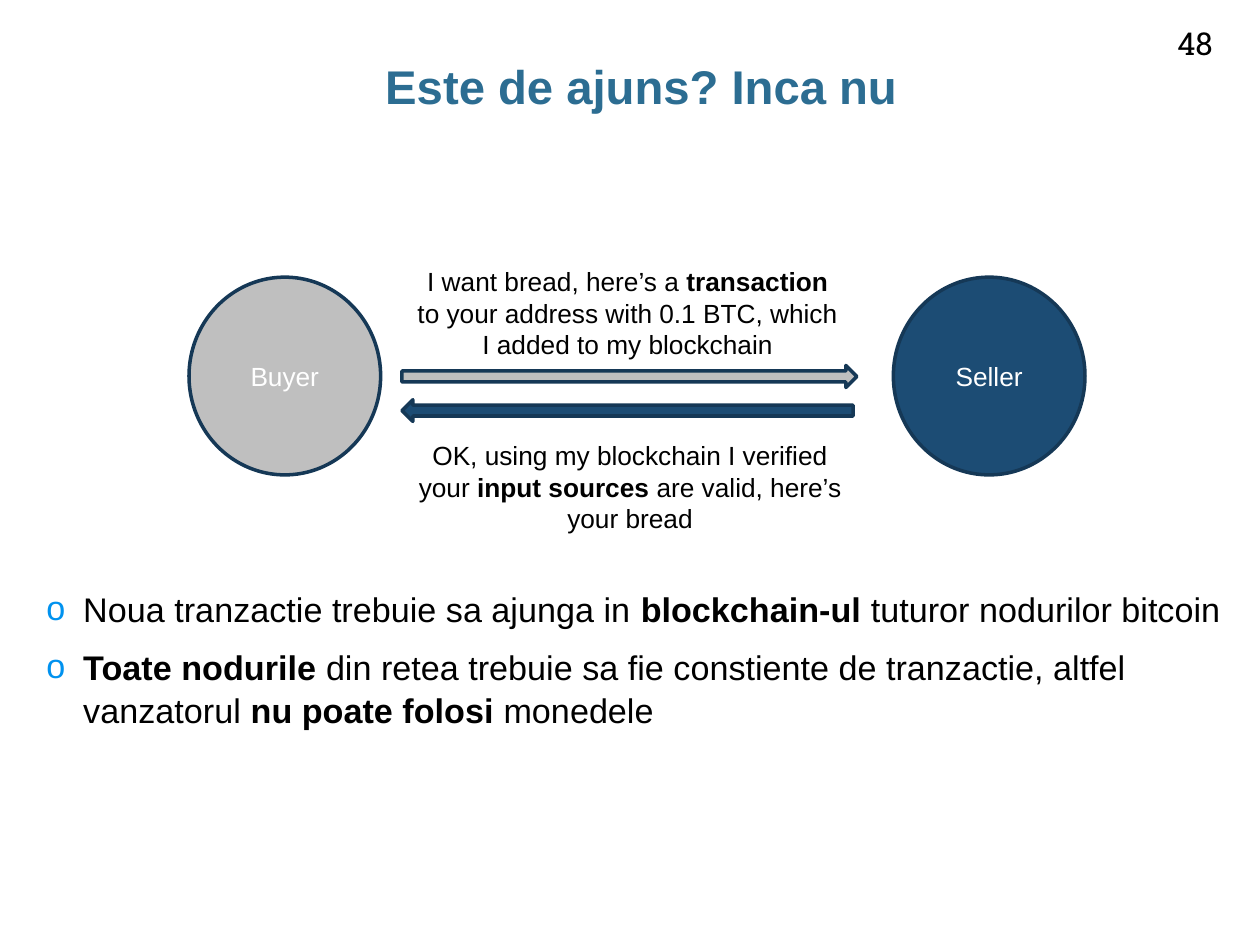
from dataclasses import dataclass

from lxml import etree
from pptx import Presentation
from pptx.dml.color import RGBColor
from pptx.enum.shapes import MSO_SHAPE
from pptx.enum.text import MSO_ANCHOR, PP_ALIGN
from pptx.oxml.ns import qn
from pptx.util import Pt

OVAL, ARROW = MSO_SHAPE.OVAL, MSO_SHAPE.RIGHT_ARROW
CENTER, LEFT = PP_ALIGN.CENTER, PP_ALIGN.LEFT
TOP, MIDDLE, BOTTOM = MSO_ANCHOR.TOP, MSO_ANCHOR.MIDDLE, MSO_ANCHOR.BOTTOM

BLACK, WHITE = "000000", "FFFFFF"
TITLE_BLUE, BULLET_BLUE = "2C6D92", "0092EF"
BUYER_GREY, SELLER_BLUE, OUTLINE = "BFBFBF", "1C4C74", "153856"
BULLET_INDENT = 21


@dataclass(frozen=True)
class Area:
    left: float
    top: float
    width: float
    height: float

    def lengths(self):
        return Pt(self.left), Pt(self.top), Pt(self.width), Pt(self.height)


@dataclass(frozen=True)
class Span:
    text: str
    bold: bool = False


@dataclass(frozen=True)
class Figure:
    kind: MSO_SHAPE
    area: Area
    fill: str
    label: str = ""
    rotation: float = 0


@dataclass(frozen=True)
class Message:
    area: Area
    spans: tuple[Span, ...]


FIGURES = (
    Figure(OVAL, Area(510.5, 158.4, 109.5, 113), SELLER_BLUE, "Seller"),
    Figure(OVAL, Area(108, 158.4, 109.5, 113), BUYER_GREY, "Buyer"),
    Figure(ARROW, Area(229.7, 208.8, 260, 12.6), BUYER_GREY),
    Figure(ARROW, Area(229.7, 228.4, 257.8, 12.4), SELLER_BLUE, rotation=180),
)
MESSAGES = (
    Message(Area(229.7, 148.3, 257.8, 62), (
        Span("I want bread, here’s a "),
        Span("transaction", True),
        Span(" to your address with 0.1 BTC, which I added to my blockchain"),
    )),
    Message(Area(231.1, 247.5, 257.8, 62), (
        Span("OK, using my blockchain I verified your "),
        Span("input sources ", True),
        Span("are valid, here’s your bread"),
    )),
)
CONCLUSIONS = (
    (
        Span("Noua tranzactie trebuie sa ajunga in "),
        Span("blockchain-ul ", True),
        Span("tuturor nodurilor bitcoin"),
    ),
    (
        Span("Toate nodurile ", True),
        Span("din retea trebuie sa fie constiente de tranzactie, altfel vanzatorul "),
        Span("nu poate folosi ", True),
        Span("monedele"),
    ),
)


def color(value: str) -> RGBColor:
    return RGBColor.from_string(value)


def add_bullet(para) -> None:
    properties = para._p.get_or_add_pPr()
    properties.set("marL", str(Pt(BULLET_INDENT)))
    properties.set("indent", str(-Pt(BULLET_INDENT)))
    bullet_color = etree.SubElement(properties, qn("a:buClr"))
    etree.SubElement(bullet_color, qn("a:srgbClr"), val=BULLET_BLUE)
    etree.SubElement(properties, qn("a:buFont"), typeface="Arial")
    etree.SubElement(properties, qn("a:buChar"), char="o")


def write(shape, paragraphs, *, size: float, ink: str = BLACK, font: str = "Arial",
          align: PP_ALIGN = CENTER, anchor: MSO_ANCHOR = TOP,
          insets: tuple[float, float] = (7.2, 3.6), spacing: float = 1.0,
          gap: float = 0, bulleted: bool = False) -> None:
    """Fill a shape with paragraphs of spans; insets are (sides, top and bottom)."""
    frame = shape.text_frame
    frame.word_wrap = True
    frame.vertical_anchor = anchor
    frame.margin_left = frame.margin_right = Pt(insets[0])
    frame.margin_top = frame.margin_bottom = Pt(insets[1])
    for index, spans in enumerate(paragraphs):
        para = frame.add_paragraph() if index else frame.paragraphs[0]
        if bulleted:
            add_bullet(para)
        para.alignment = align
        para.line_spacing = spacing
        para.space_before = Pt(gap if index else 0)
        for span in spans:
            run = para.add_run()
            run.text = span.text
            run.font.name = font
            run.font.size = Pt(size)
            run.font.bold = span.bold
            run.font.color.rgb = color(ink)


def add_text(page, area: Area, paragraphs, **text_format) -> None:
    write(page.shapes.add_textbox(*area.lengths()), paragraphs, **text_format)


def add_figure(page, figure: Figure) -> None:
    shape = page.shapes.add_shape(figure.kind, *figure.area.lengths())
    shape.shadow.inherit = False
    shape.rotation = figure.rotation
    shape.fill.solid()
    shape.fill.fore_color.rgb = color(figure.fill)
    shape.line.color.rgb = color(OUTLINE)
    shape.line.width = Pt(2)
    if figure.label:
        write(shape, [[Span(figure.label)]], size=15, ink=WHITE, anchor=MIDDLE)


def set_title(page, area: Area, text: str) -> None:
    title = page.shapes.title
    title.left, title.top, title.width, title.height = area.lengths()
    write(title, [[Span(text, True)]], size=27, ink=TITLE_BLUE,
          insets=(7.2, 7.2), spacing=0.95)


def main() -> None:
    deck = Presentation()
    deck.slide_width, deck.slide_height = Pt(720), Pt(540)
    page = deck.slides.add_slide(deck.slide_layouts[5])

    set_title(page, Area(26.6, 28, 679.7, 56.9), "Este de ajuns? Inca nu")
    add_text(page, Area(659.5, 10, 46.8, 28.8), [[Span("48")]],
             size=18, font="Roboto Slab", anchor=BOTTOM)
    add_text(page, Area(26.6, 331.5, 679.7, 124), CONCLUSIONS, size=19.5,
             align=LEFT, insets=(0, 3.6), spacing=1.05, gap=8.5, bulleted=True)
    for figure in FIGURES:
        add_figure(page, figure)
    for message in MESSAGES:
        add_text(page, message.area, [message.spans], size=15)

    deck.save("out.pptx")


if __name__ == "__main__":
    main()
